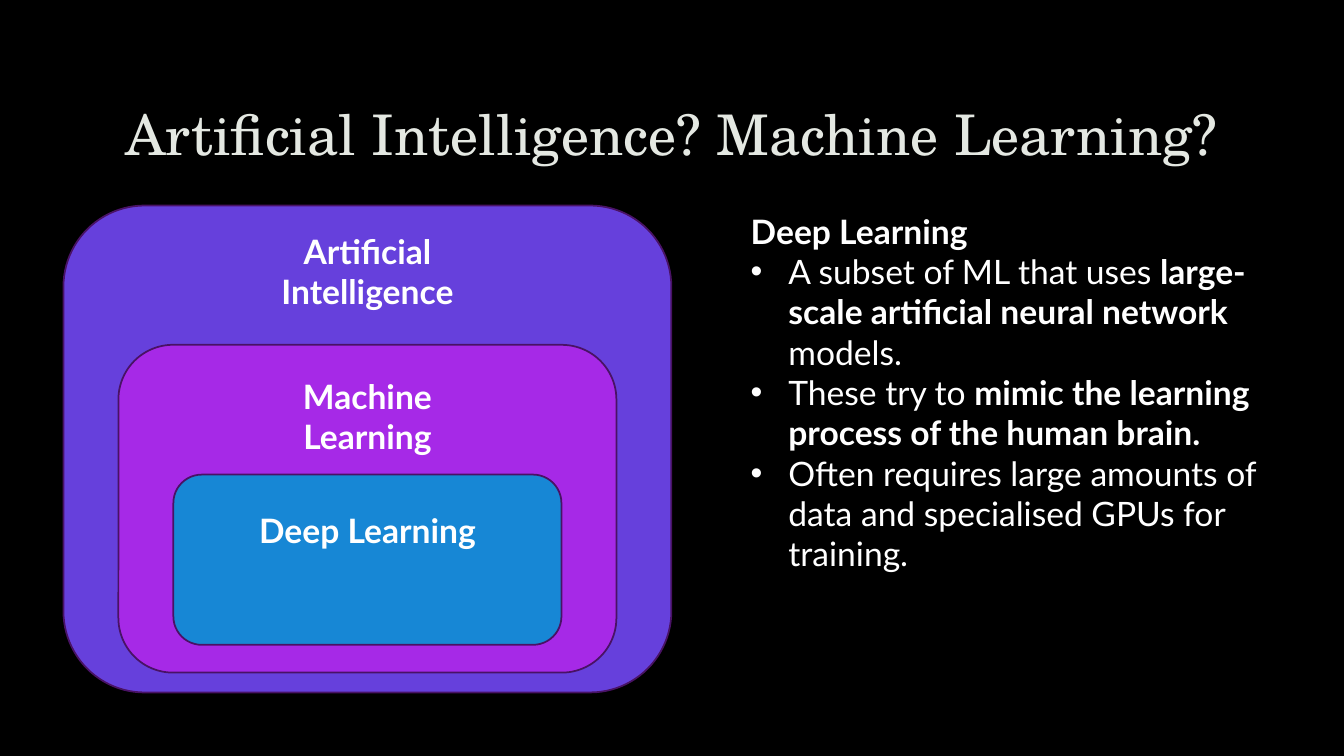
from lxml import etree
from pptx import Presentation
from pptx import util as u
from pptx.dml.color import RGBColor
from pptx.enum import shapes, text
from pptx.oxml.ns import qn

WHITE = "FFFFFF"
BODY_FONT = "Lato"
TITLE_FONT = "TeX Gyre Schola"
LABEL_WIDTH = 6.63

# Name, fill, top, width, height, gap above the label (cm), outermost first
FIELDS = [
    ("Artificial Intelligence", "6640DC", 5.18, 15.32, 12.27, 0.51),
    ("Machine Learning", "A629E7", 8.69, 12.55, 8.26, 0.66),
    ("Deep Learning", "1787D5", 11.96, 9.78, 4.29, 0.77),
]

# Each bullet is a list of (words, bold) runs
BULLETS = [
    [("A subset of ML that uses ", False),
     ("large-scale artificial neural network", True),
     (" models.", False)],
    [("These try to ", False),
     ("mimic the learning process of the human brain.", True)],
    [("Often requires large amounts of data and specialised GPUs for training.", False)],
]


def colour(value):
    return RGBColor.from_string(value)


def cm_box(left, top, width, height):
    return [u.Cm(length) for length in (left, top, width, height)]


def add_span(para, words, bold=False, size=24, font=BODY_FONT, shade=WHITE):
    span = para.add_run()
    span.text = words
    span.font.name = font
    span.font.size = u.Pt(size)
    span.font.bold = bold
    span.font.color.rgb = colour(shade)


def add_text_frame(page, left, top, width, height):
    frame = page.shapes.add_textbox(*cm_box(left, top, width, height)).text_frame
    frame.word_wrap = True
    return frame


def add_bullet(para):
    indent = u.Cm(0.95)
    props = para._p.get_or_add_pPr()
    props.set("marL", str(indent))
    props.set("indent", str(-indent))
    etree.SubElement(props, qn("a:buFont")).set("typeface", "Arial")
    etree.SubElement(props, qn("a:buChar")).set("char", "•")


def place_title(page, left, top, width, height):
    title = page.shapes.title
    title.left, title.top, title.width, title.height = cm_box(left, top, width, height)
    frame = title.text_frame
    frame.word_wrap = True
    frame.auto_size = text.MSO_AUTO_SIZE.NONE
    frame.vertical_anchor = text.MSO_ANCHOR.MIDDLE
    para = frame.paragraphs[0]
    para.alignment = text.PP_ALIGN.CENTER
    para.line_spacing = 0.9
    add_span(para, "Artificial Intelligence? Machine Learning?",
             size=40, font=TITLE_FONT, shade="E4E8E2")


def draw_nested_fields(page, centre):
    """Stack the rounded boxes and their labels about one vertical axis."""
    for name, fill, top, width, height, gap in FIELDS:
        box = page.shapes.add_shape(
            shapes.MSO_SHAPE.ROUNDED_RECTANGLE,
            *cm_box(centre - width / 2, top, width, height))
        box.shadow.inherit = False
        box.fill.solid()
        box.fill.fore_color.rgb = colour(fill)
        box.line.color.rgb = colour("491265")
        box.line.width = u.Pt(1.25)

        frame = add_text_frame(page, centre - LABEL_WIDTH / 2, top + gap, LABEL_WIDTH, 1.27)
        para = frame.paragraphs[0]
        para.alignment = text.PP_ALIGN.CENTER
        add_span(para, name, bold=True)


def write_explanation(page, left, top, width, height):
    frame = add_text_frame(page, left, top, width, height)
    add_span(frame.paragraphs[0], "Deep Learning", bold=True)
    for spans in BULLETS:
        para = frame.add_paragraph()
        add_bullet(para)
        for words, bold in spans:
            add_span(para, words, bold)


def main():
    deck = Presentation()
    deck.slide_width, deck.slide_height = u.Cm(33.87), u.Cm(19.05)
    page = deck.slides.add_slide(deck.slide_layouts.get_by_name("Title Only"))
    page.background.fill.solid()
    page.background.fill.fore_color.rgb = colour("000000")
    place_title(page, 2.54, 1.7, 28.75, 3.5)
    draw_nested_fields(page, centre=9.26)
    write_explanation(page, 18.67, 5.18, 13.56, 9.5)
    deck.save("out.pptx")


if __name__ == "__main__":
    main()
